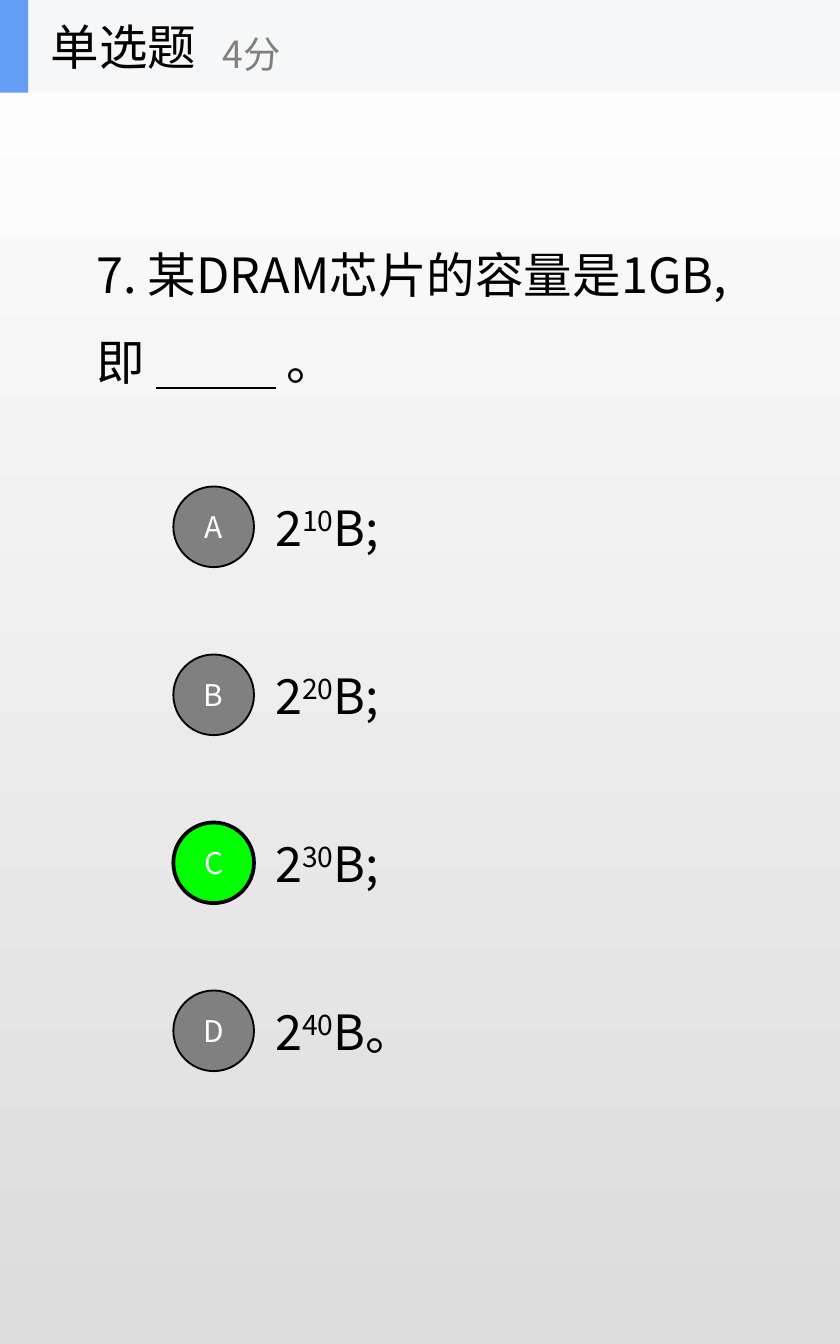
"""Build a single-choice quiz slide about DRAM capacity."""
from lxml.etree import SubElement
from pptx import Presentation
from pptx.dml.color import RGBColor
from pptx.enum.shapes import MSO_SHAPE as Shape
from pptx.enum.text import MSO_ANCHOR as Anchor, MSO_AUTO_SIZE as AutoSize, PP_ALIGN as Align
from pptx.oxml.ns import qn
from pptx.util import Inches, Pt

FONT = "Noto Sans CJK SC"
BLACK = RGBColor(0x00, 0x00, 0x00)
WHITE = RGBColor(0xFF, 0xFF, 0xFF)
GRAY = RGBColor(0x80, 0x80, 0x80)
GREEN = RGBColor(0x00, 0xFF, 0x00)
BLUE = RGBColor(0x63, 0x9E, 0xF4)
HEADER = RGBColor(0xF6, 0xF7, 0xF8)
SHADE = RGBColor(0xDC, 0xDC, 0xDC)

WIDTH, HEIGHT = 6.25, 10
QUESTION = [
    ("7. 某DRAM芯片的容量是1GB,即 ", {}),
    (" " * 11, {"underline": True}),
    (" 。", {"underline": False}),
]
OPTIONS = [
    ("A", "10", "B;", 1.15),
    ("B", "20", "B;", 1.15),
    ("C", "30", "B;", 1.15),
    ("D", "40", "B。", 1.42),
]
ANSWER = "C"
BANDS = [(WIDTH, HEADER), (0.21, BLUE)]
LABELS = [
    ("单选题", (0.28, 0, 2.08, 0.69), 26, BLACK),
    ("4分", (1.56, 0.12, 2.5, 0.56), 20, GRAY),
]
BAND_HEIGHT = 0.69
FIRST_CENTER, PITCH = 3.92, 1.25
CIRCLE_LEFT, CIRCLE_SIZE = 1.29, 0.6
TEXT_LEFT, TEXT_HEIGHT = 1.95, 0.54


def apply(target, **values):
    for name, value in values.items():
        setattr(target, name, value)


def write(shape, spans, size=26, color=BLACK, **para_format):
    shape.text_frame.vertical_anchor = Anchor.MIDDLE
    para = shape.text_frame.paragraphs[0]
    apply(para, **para_format)
    for text, font_format in spans:
        span = para.add_run()
        span.text = text
        span.font.color.rgb = color
        apply(span.font, name=FONT, size=Pt(size), **font_format)
        SubElement(span.font._element, qn("a:ea"), typeface=FONT)
    return para


def add_text(shapes, place, spans, size=26, color=BLACK, wrap=True, **para_format):
    box = shapes.add_textbox(*map(Inches, place))
    fit = AutoSize.SHAPE_TO_FIT_TEXT if wrap else AutoSize.NONE
    apply(box.text_frame, word_wrap=wrap, auto_size=fit)
    return write(box, spans, size, color, **para_format)


def add_filled(shapes, kind, place, fill, line_width=0):
    shape = shapes.add_shape(kind, *map(Inches, place))
    shape.shadow.inherit = False
    shape.fill.solid()
    shape.fill.fore_color.rgb = fill
    if line_width:
        shape.line.color.rgb = BLACK
        shape.line.width = Pt(line_width)
    else:
        shape.line.fill.background()
    return shape


def add_option(shapes, center, letter, power, ending, width):
    place = (TEXT_LEFT, center - TEXT_HEIGHT / 2, width, TEXT_HEIGHT)
    para = add_text(shapes, place, [("2", {}), (power, {}), (ending, {})])
    para.runs[1].font._element.set("baseline", "30000")
    fill, line_width = (GREEN, 2) if letter == ANSWER else (GRAY, 1)
    place = (CIRCLE_LEFT, center - CIRCLE_SIZE / 2, CIRCLE_SIZE, CIRCLE_SIZE)
    circle = add_filled(shapes, Shape.OVAL, place, fill, line_width)
    write(circle, [(letter, {})], 16, WHITE, alignment=Align.CENTER)


def main():
    deck = Presentation()
    apply(deck, slide_width=Inches(WIDTH), slide_height=Inches(HEIGHT))
    page = deck.slides.add_slide(deck.slide_layouts[6])
    backdrop = page.background.fill
    backdrop.gradient()
    backdrop.gradient_angle = 270
    for stop, color, position in zip(backdrop.gradient_stops, (WHITE, SHADE), (0, 1)):
        stop.color.rgb = color
        stop.position = position

    add_text(page.shapes, (0.62, 1.55, 5, 1.41), QUESTION, line_spacing=1.5)
    for index, option in enumerate(OPTIONS):
        add_option(page.shapes, FIRST_CENTER + index * PITCH, *option)

    header = page.shapes.add_group_shape().shapes
    for width, color in BANDS:
        add_filled(header, Shape.RECTANGLE, (0, 0, width, BAND_HEIGHT), color)
    for text, place, size, color in LABELS:
        add_text(header, place, [(text, {})], size, color, wrap=False)
    deck.save("out.pptx")


if __name__ == "__main__":
    main()
